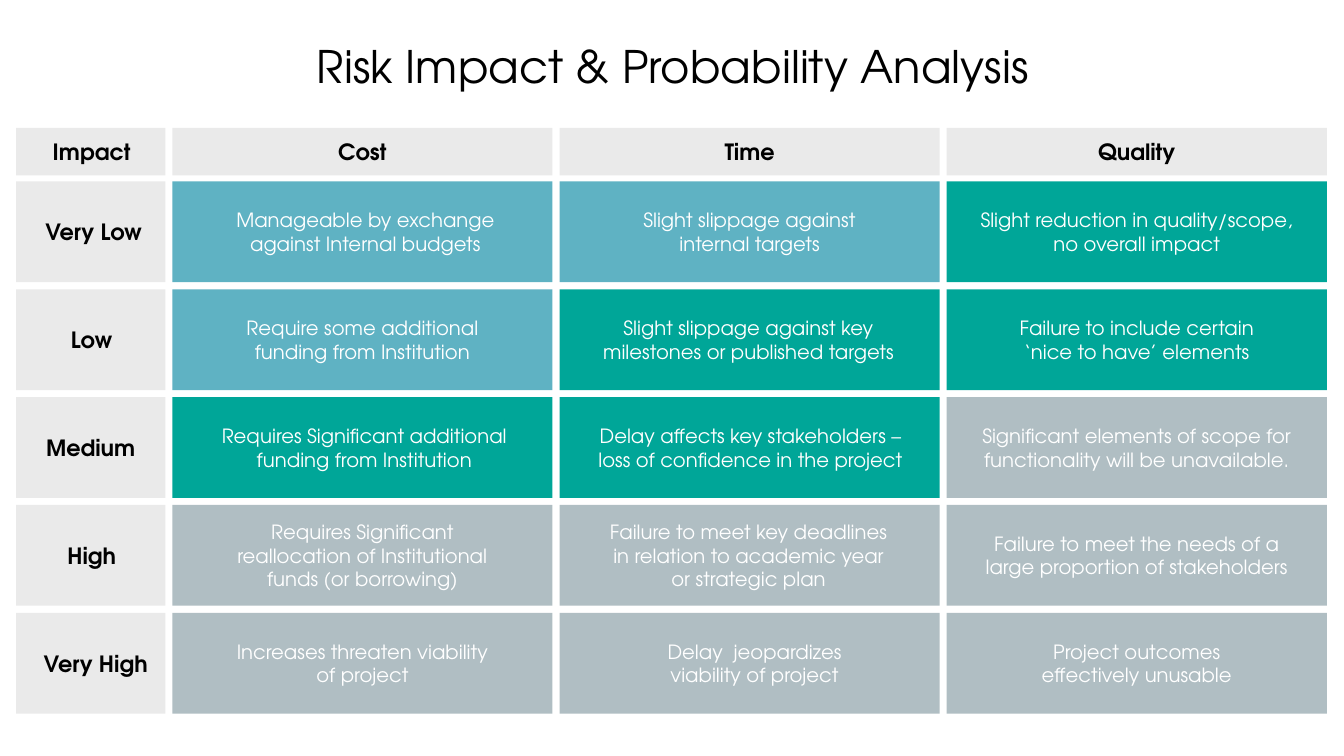
"""Build the risk impact and probability matrix slide."""
import pptx
import pptx.dml.color
import pptx.enum.shapes
import pptx.enum.text
import pptx.util

Inches = pptx.util.Inches

COLORS = {"blue": "5FB2C3", "green": "00A698", "gray": "B0BEC3",
          "header": "EAEAEA", "black": "000000", "white": "FFFFFF"}
FONT = "TeX Gyre Adventor"
TITLE = "Risk Impact & Probability Analysis"

# text, label width, label shift from the cell centre
HEADERS = [("Impact", 1.06, 0.01), ("Cost", 2.69, 0), ("Time", 2.69, 0), ("Quality", 2.69, 0)]
LEVELS = [("Very Low", 1.67, 0.03), ("Low", 1.06, 0.01), ("Medium", 1.16, 0),
          ("High", 1.06, 0.01), ("Very High", 1.48, 0.05)]

# text, fill, label width, label shift, line count
IMPACTS = [
    [("Manageable by exchange against Internal budgets", "blue", 3.01, 0.03, 2),
     ("Slight slippage against internal targets", "blue", 2.69, 0, 2),
     ("Slight reduction in quality/scope, no overall impact", "green", 3.3, 0, 2)],
    [("Require some additional funding from Institution", "blue", 2.69, 0, 2),
     ("Slight slippage against key milestones or published targets", "green", 3.23, -0.01, 2),
     ("Failure to include certain ‘nice to have’ elements", "green", 2.69, 0, 2)],
    [("Requires Significant additional funding from Institution", "green", 3.13, 0.02, 2),
     ("Delay affects key stakeholders – loss of confidence in the project", "green", 3.23, 0.01, 2),
     ("Significant elements of scope for functionality will be unavailable.", "gray", 3.57, 0, 2)],
    [("Requires Significant reallocation of Institutional funds (or borrowing)",
      "gray", 2.69, 0, 3),
     ("Failure to meet key deadlines in relation to academic year or strategic plan",
      "gray", 2.97, -0.01, 3),
     ("Failure to meet the needs of a large proportion of stakeholders", "gray", 3.3, 0, 2)],
    [("Increases threaten viability of project", "gray", 2.69, 0, 2),
     ("Delay  jeopardizes viability of project", "gray", 2.07, 0.05, 2),
     ("Project outcomes effectively unusable", "gray", 2.69, 0, 2)],
]

LABEL_HEIGHTS = {1: 0.37, 2: 0.57, 3: 0.81}
GAP = 0.07
COLUMNS = [(0.16, 1.48)] + [(1.71 + column * (3.77 + GAP), 3.77) for column in range(3)]
HEADER_ROW = (1.27, 0.47)
ROWS = [(1.8 + row * (1 + GAP), 1) for row in range(5)]


def rgb(name):
    return pptx.dml.color.RGBColor.from_string(COLORS[name])


def add_text(shapes, text, left, top, width, height, size, color, bold=False):
    box = shapes.add_textbox(Inches(left), Inches(top), Inches(width), Inches(height))
    frame = box.text_frame
    frame.word_wrap = True
    frame.vertical_anchor = pptx.enum.text.MSO_ANCHOR.MIDDLE
    para = frame.paragraphs[0]
    para.text = text
    para.alignment = pptx.enum.text.PP_ALIGN.CENTER
    para.font.name = FONT
    para.font.size = pptx.util.Pt(size)
    para.font.bold = bold
    para.font.color.rgb = rgb(color)
    return box


def add_cell(page, column, row, text, label_width, shift, fill="header", lines=1):
    (left, width), (top, height) = column, row
    group = page.shapes.add_group_shape()
    cell = group.shapes.add_shape(pptx.enum.shapes.MSO_SHAPE.RECTANGLE,
                                  Inches(left), Inches(top), Inches(width), Inches(height))
    cell.shadow.inherit = False
    cell.fill.solid()
    cell.fill.fore_color.rgb = rgb(fill)
    cell.line.fill.background()
    heading = fill == "header"
    label_height = LABEL_HEIGHTS[lines]
    label = add_text(group.shapes, text, left + (width - label_width) / 2 + shift,
                     top + (height - label_height) / 2, label_width, label_height,
                     16 if heading else 14, "black" if heading else "white", heading)
    label.text_frame.auto_size = pptx.enum.text.MSO_AUTO_SIZE.SHAPE_TO_FIT_TEXT


def main():
    deck = pptx.Presentation()
    deck.slide_width, deck.slide_height = Inches(13.33), Inches(7.5)
    page = deck.slides.add_slide(deck.slide_layouts[6])
    for column, header in zip(COLUMNS, HEADERS):
        add_cell(page, column, HEADER_ROW, *header)
    for row, level, impacts in zip(ROWS, LEVELS, IMPACTS):
        add_cell(page, COLUMNS[0], row, *level)
        for column, (text, fill, width, shift, lines) in zip(COLUMNS[1:], impacts):
            add_cell(page, column, row, text, width, shift, fill, lines)
    add_text(page.shapes, TITLE, 2.95, 0.25, 7.45, 0.8, 32, "black")
    deck.save("out.pptx")


if __name__ == "__main__":
    main()
